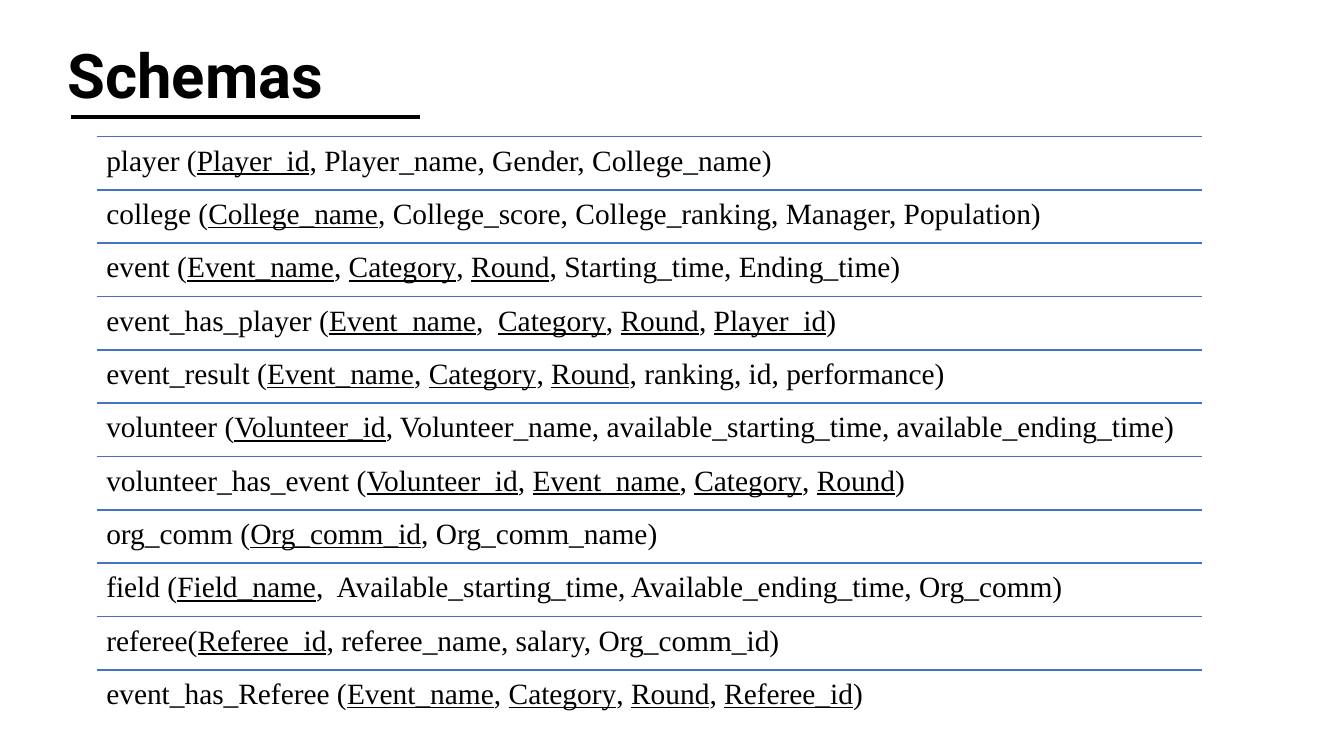
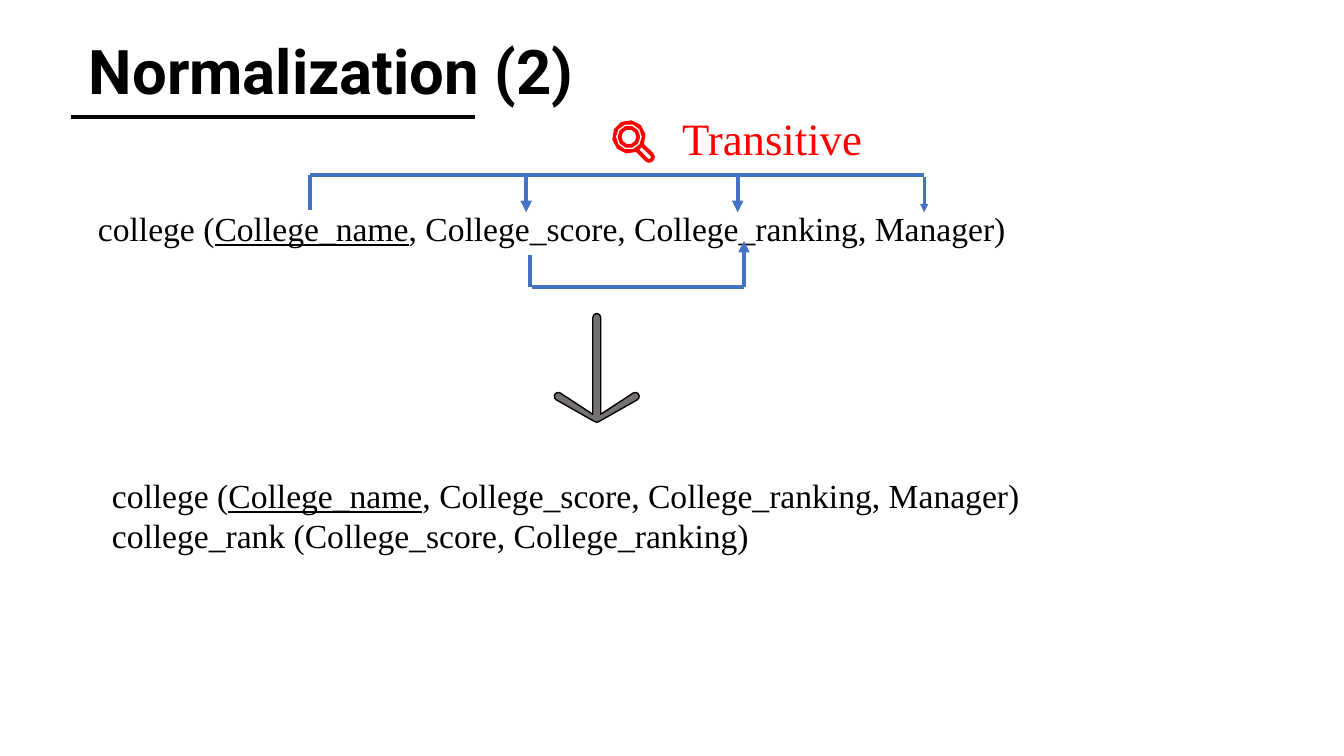
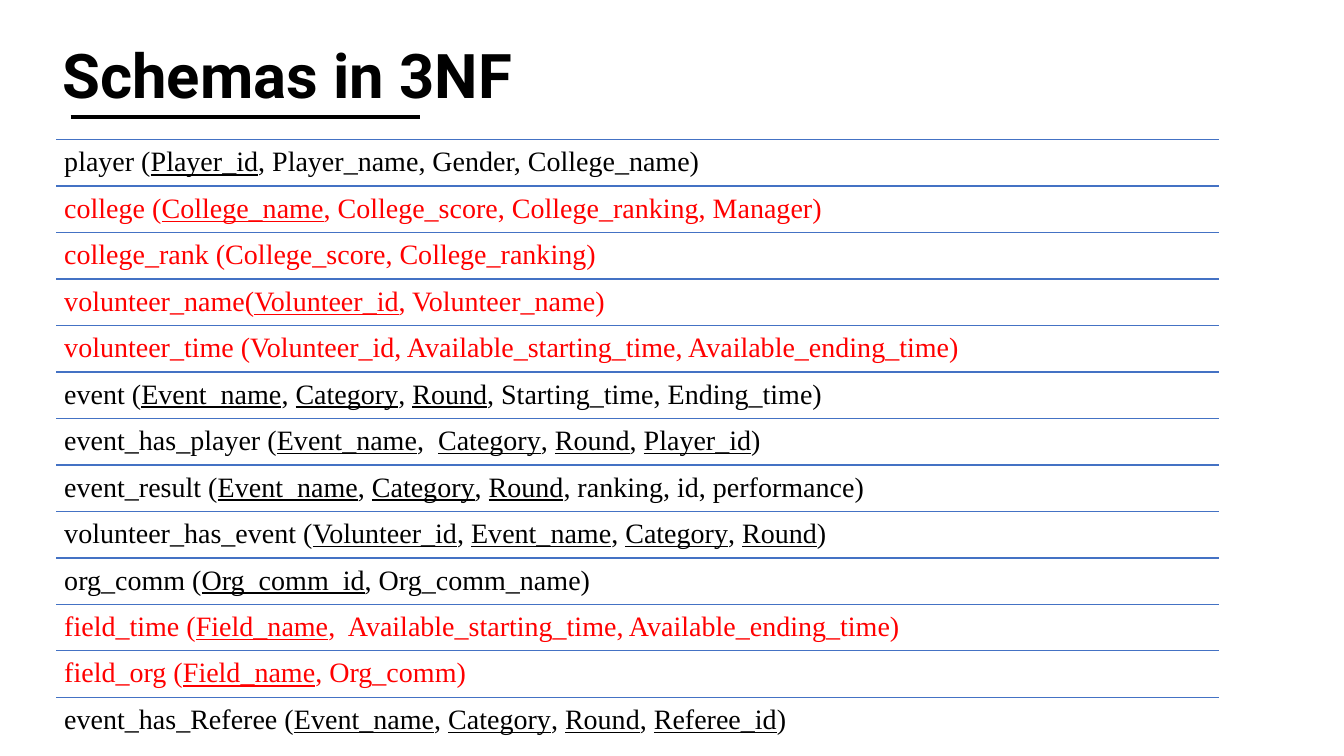
from math import cos, sin, radians
from lxml.etree import SubElement as Sub
from pptx import Presentation
from pptx.dml.color import RGBColor as Rgb
from pptx.enum.shapes import MSO_CONNECTOR as Conn
from pptx.enum.text import PP_ALIGN as Align
from pptx.oxml.ns import qn
from pptx.util import Cm, Pt

INK = {"black": "000000", "blue": "4472C4", "red": "FF0000", "gray": "767171"}
HEAD, BODY = "Roboto", "Times New Roman"

SLOT = "*Event_name*, *Category*, *Round*"
PLAYER = "player (*Player_id*, Player_name, Gender, College_name)"
COLLEGE = "college (*College_name*, College_score, College_ranking, Manager)"
RANK = "college_rank (College_score, College_ranking)"
EVENTS = [
    f"event ({SLOT}, Starting_time, Ending_time)",
    "event_has_player (*Event_name*,  *Category*, *Round*, *Player_id*)",
    f"event_result ({SLOT}, ranking, id, performance)",
]
HELP = f"volunteer_has_event (*Volunteer_id*, {SLOT})"
COMM = "org_comm (*Org_comm_id*, Org_comm_name)"
JUDGE = f"event_has_Referee ({SLOT}, *Referee_id*)"

FIRST = [
    PLAYER,
    "college (*College_name*, College_score, College_ranking, Manager, Population)",
    *EVENTS,
    "volunteer (*Volunteer_id*, Volunteer_name, available_starting_time, available_ending_time)",
    HELP,
    COMM,
    "field (*Field_name*,  Available_starting_time, Available_ending_time, Org_comm)",
    "referee(*Referee_id*, referee_name, salary, Org_comm_id)",
    JUDGE,
]
SPLIT = [
    COLLEGE,
    RANK,
    "volunteer_name(*Volunteer_id*, Volunteer_name)",
    "volunteer_time (Volunteer_id, Available_starting_time, Available_ending_time)",
]
FIELDS = [
    "field_time (*Field_name*,  Available_starting_time, Available_ending_time)",
    "field_org (*Field_name*, Org_comm)",
]
THIRD = [PLAYER, *SPLIT, *EVENTS, HELP, COMM, *FIELDS, JUDGE]


def color(name):
    return Rgb.from_string(INK[name])


def text(slide, box, lines, size, ink="black", face=BODY, bold=False, pad=None):
    frame = slide.shapes.add_textbox(*map(Cm, box)).text_frame
    frame.word_wrap = True
    if pad:
        frame.margin_left = frame.margin_right = Cm(pad)
        frame.margin_top = frame.margin_bottom = Cm(pad)
    for i, line in enumerate(lines):
        para = frame.add_paragraph() if i else frame.paragraphs[0]
        for j, part in enumerate(line.split("*")):
            run = para.add_run()
            run.text = part
            font = run.font
            font.name, font.size, font.bold = face, Pt(size), bold
            font.underline = j % 2 == 1
            font.color.rgb = color(ink)
    return frame.paragraphs


def rule(slide, ends, ink, width, arrow=False):
    line = slide.shapes.add_connector(Conn.STRAIGHT, *map(Cm, ends))
    line.line.color.rgb = color(ink)
    line.line.width = Pt(width)
    props = line.element.spPr
    if arrow:
        Sub(props.find(qn("a:ln")), qn("a:tailEnd"), type="triangle")
    Sub(props, qn("a:effectLst"))


def title(slide, words, box, end):
    rule(slide, (1.78, 2.95, end, 2.95), "black", 3)
    para, = text(slide, box, [words], 44, face=HEAD, bold=True)
    para.alignment = Align.CENTER


def rows(slide, items, left, width, top, last, size, pad, marked=()):
    step = (last - top) / (len(items) - 1)
    for i, item in enumerate(items):
        y = top + i * step
        rule(slide, (left, y, left + width, y), "blue", 1)
        ink = "red" if item in marked else "black"
        para, = text(slide, (left, y, width, step), [item], size, ink, pad=pad)
        para.line_spacing = 0.9


def arc(x, y, r, start, end):
    steps = max(1, round(abs(end - start) / 36))
    turns = [radians(start + (end - start) * i / steps) for i in range(steps + 1)]
    return [(x + r * cos(t), y + r * sin(t)) for t in turns]


def shape(slide, loops, fill, edge, width):
    loops = [[(Cm(x), Cm(y)) for x, y in loop] for loop in loops]
    pen = slide.shapes.build_freeform(*loops[0][0])
    for i, loop in enumerate(loops):
        if i:
            pen.move_to(*loop[0])
        pen.add_line_segments(loop[1:], close=True)
    form = pen.convert_to_shape()
    form.shadow.inherit = False
    form.fill.solid()
    form.fill.fore_color.rgb = color(fill)
    form.line.color.rgb = color(edge)
    form.line.width = Pt(width)


def lens(slide, x, y):
    tip = x + 0.51, y + 0.51
    rim = arc(x, y, 0.41, 63, 387) + arc(*tip, 0.13, -45, 135)
    grip = arc(*tip, 0.06, -45, 135) + arc(x, y, 0.4, 53, 37)
    shape(slide, [rim, arc(x, y, 0.34, 0, 360), grip], "red", "red", 0.75)
    ring = [arc(x, y, r, 0, 360) for r in (0.27, 0.2)]
    shape(slide, ring, "red", "red", 0.75)


def arrow(slide, x, top, base):
    r = 0.1
    half = arc(x, top + r, r, 270, 360) + [(x + r, base - 0.2)]
    half += arc(x + 0.97, base - 0.65, r, -120, 60) + arc(x, base - r, r, 60, 90)
    flip = [(2 * x - a, b) for a, b in reversed(half)]
    shape(slide, [half + flip[1:-1]], "gray", "black", 1)


def links(slide):
    for ends in [
        (7.82, 5.28, 7.82, 4.42),
        (7.82, 4.42, 23.29, 4.42),
        (13.36, 6.43, 13.36, 7.24),
        (13.41, 7.24, 18.75, 7.24),
    ]:
        rule(slide, ends, "blue", 2.75)
    for x, y, end, width in [
        (13.26, 4.47, 5.35, 2.75),
        (18.59, 4.47, 5.35, 2.75),
        (23.29, 4.47, 5.35, 2),
        (18.75, 7.24, 6.07, 2.75),
    ]:
        rule(slide, (x, y, x, end), "blue", width, True)


def normal(slide):
    title(slide, "Normalization (2)", (1.67, 0.7, 13.36, 2.13), 11.98)
    para, = text(slide, (2.22, 5.22, 32.56, 13.79), [COLLEGE], 24)
    para.line_spacing = 0.9
    para.space_before = Pt(10)
    links(slide)
    text(slide, (16.94, 2.67, 10.41, 1.63), ["Transitive"], 32, "red")
    lens(slide, 15.85, 3.45)
    text(slide, (2.57, 11.84, 28.12, 2.31), [COLLEGE, RANK], 24)
    arrow(slide, 15.04, 7.9, 10.64)


def main():
    deck = Presentation()
    deck.slide_width, deck.slide_height = Cm(33.87), Cm(19.05)
    one, two, three = [deck.slides.add_slide(deck.slide_layouts[6]) for _ in range(3)]
    title(one, "Schemas", (0, 0.81, 9.86, 2.13), 10.59)
    rows(one, FIRST, 2.45, 27.83, 3.44, 16.88, 21, 0.23)
    normal(two)
    title(three, "Schemas in 3NF", (0, 0.81, 14.5, 2.13), 10.59)
    rows(three, THIRD, 1.42, 29.3, 3.52, 17.57, 20, 0.2, SPLIT + FIELDS)
    deck.save("out.pptx")


if __name__ == "__main__":
    main()
